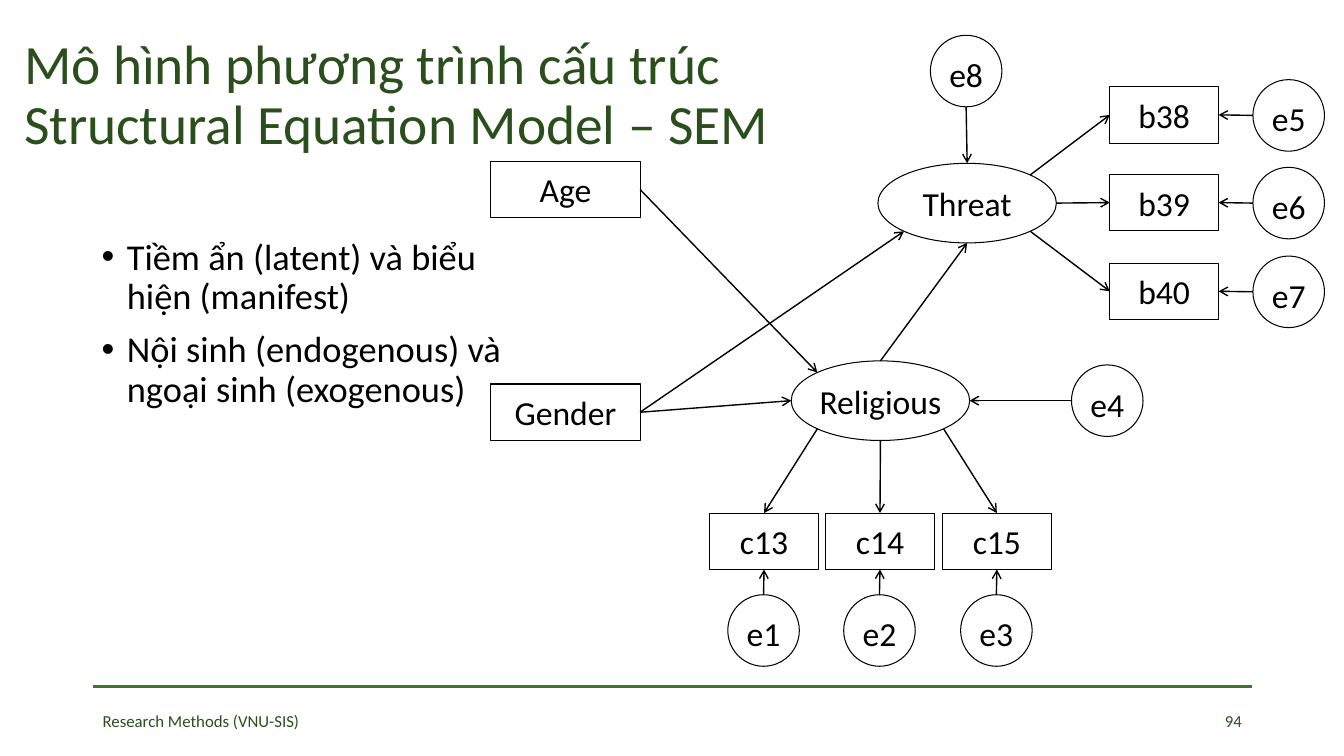
"""Builds the slide on structural equation models with its path diagram."""
from lxml import etree
from pptx import Presentation
from pptx import util as u
from pptx.dml.color import RGBColor
from pptx.enum import shapes, text
from pptx.oxml import ns

PX = 9144
BLACK = RGBColor(0x00, 0x00, 0x00)
GREEN = RGBColor(0x2A, 0x4F, 0x1C)
RULE = RGBColor(0x3F, 0x76, 0x2B)
RECT = shapes.MSO_SHAPE.RECTANGLE
OVAL = shapes.MSO_SHAPE.OVAL
TOP, MID = text.MSO_ANCHOR.TOP, text.MSO_ANCHOR.MIDDLE
LEFT, RIGHT = text.PP_ALIGN.LEFT, text.PP_ALIGN.RIGHT

prs = Presentation()
prs.slide_width, prs.slide_height = 4000 * PX // 3, 750 * PX
slide = prs.slides.add_slide(prs.slide_layouts[6])


def draw_line(start, end, color, width):
    ends = [round(v * PX) for v in (*start, *end)]
    line = slide.shapes.add_connector(shapes.MSO_CONNECTOR.STRAIGHT, *ends)
    line.line.color.rgb = color
    line.line.width = u.Pt(width)
    etree.SubElement(line._element.spPr, ns.qn("a:effectLst"))
    return line


def port(name, side):
    x, y, w, h = places[name]
    fx, fy = sides[side]
    return x + fx * w, y + fy * h


draw_line((92, 681), (1242, 681), RULE, 2.25)

title = "Mô hình phương trình cấu trúc\vStructural Equation Model – SEM"
points = ("Tiềm ẩn (latent) và biểu hiện (manifest)\n"
          "Nội sinh (endogenous) và ngoại sinh (exogenous)")
blocks = [
    (title, (14, 21, 789, 149), 39.6, GREEN, MID, LEFT, 0.9),
    (points, (91, 232, 419, 443), 26, BLACK, TOP, LEFT, 0.9),
    ("Research Methods (VNU-SIS)", (92, 695, 251, 40), 12, GREEN, MID, LEFT, 1.0),
    ("94", (942, 695, 300, 40), 12, GREEN, MID, RIGHT, 1.0),
]
for words, place, size, color, anchor, align, space in blocks:
    frame = slide.shapes.add_textbox(*[v * PX for v in place]).text_frame
    frame.word_wrap = True
    frame.vertical_anchor = anchor
    frame.text = words
    for i, para in enumerate(frame.paragraphs):
        para.alignment = align
        para.line_spacing = space
        if words == points:
            props = para._p.get_or_add_pPr()
            props.set("marL", str(25 * PX))
            props.set("indent", str(-25 * PX))
            if i:
                para.space_before = u.Pt(10)
            font = etree.SubElement(props, ns.qn("a:buFont"))
            font.set("typeface", "Arial")
            etree.SubElement(props, ns.qn("a:buChar")).set("char", "•")
        for run in para.runs:
            run.font.name = "Calibri"
            run.font.size = u.Pt(size)
            run.font.color.rgb = color

sides = {
    "top": (0.5, 0), "bottom": (0.5, 1), "left": (0, 0.5), "right": (1, 0.5),
    "top left": (0.146, 0.146), "top right": (0.854, 0.146),
    "bottom left": (0.146, 0.854), "bottom right": (0.854, 0.854),
}
places = {
    "Age": (487, 160, 148, 56), "Gender": (487, 381, 148, 56),
    "Threat": (871, 162, 177, 79), "Religious": (785, 358, 177, 79),
    "e4": (1063, 362, 71, 71), "e8": (923, 35, 71, 71),
}
arrows = [
    ("Gender", "right", "Religious", "left"),
    ("Age", "right", "Religious", "top left"),
    ("Religious", "top", "Threat", "bottom"),
    ("Gender", "right", "Threat", "bottom left"),
    ("e4", "left", "Religious", "right"),
    ("e8", "bottom", "Threat", "top"),
]
threat = ["top right", "right", "bottom right"]
faith = ["bottom left", "bottom", "bottom right"]
for i in range(3):
    x, y = 704 + 231 * i // 2, 86 + 175 * i // 2
    c, b, low, far = f"c{13 + i}", f"b{38 + i}", f"e{1 + i}", f"e{5 + i}"
    places[c] = (x, 509, 108, 56)
    places[low] = (x + 18, 590, 71, 71)
    places[b] = (1101, y, 108, 56)
    places[far] = (1243, y - 7, 71, 71)
    arrows += [
        ("Religious", faith[i], c, "top"), (low, "top", c, "bottom"),
        ("Threat", threat[i], b, "left"), (far, "left", b, "right"),
    ]

for name, place in places.items():
    oval = name in ("Threat", "Religious") or name[0] == "e"
    node = slide.shapes.add_shape(OVAL if oval else RECT, *[v * PX for v in place])
    node.shadow.inherit = False
    node.fill.background()
    node.line.color.rgb = BLACK
    node.line.width = u.Pt(0.75)
    frame = node.text_frame
    frame.margin_left = frame.margin_right = 0
    frame.margin_top = frame.margin_bottom = 8 * PX
    frame.vertical_anchor = TOP
    frame.text = name
    para = frame.paragraphs[0]
    para.alignment = text.PP_ALIGN.CENTER
    font = para.runs[0].font
    font.name = "Calibri"
    font.size = u.Pt(24)
    font.color.rgb = BLACK

for source, out, target, into in arrows:
    line = draw_line(port(source, out), port(target, into), BLACK, 1)
    tip = etree.SubElement(line.line._get_or_add_ln(), ns.qn("a:tailEnd"))
    tip.set("type", "arrow")

prs.save("out.pptx")
